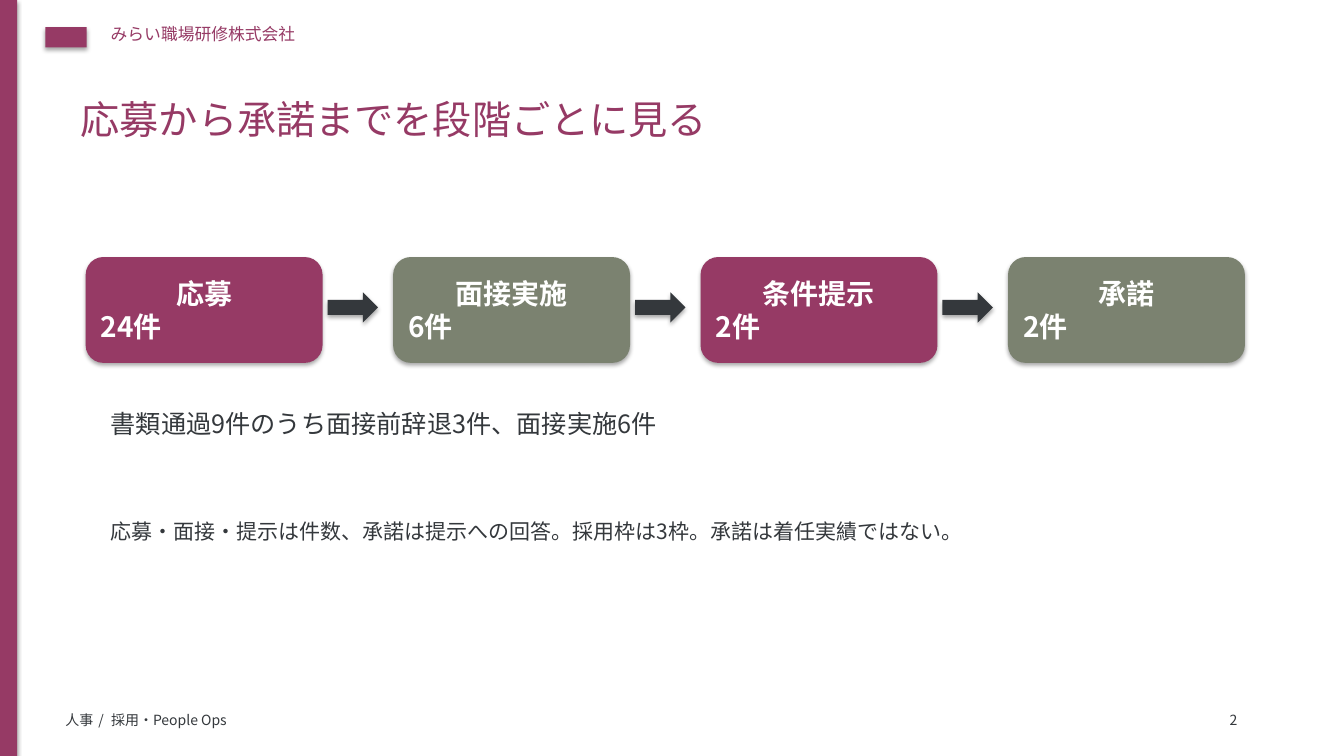
from lxml.etree import SubElement
from pptx import Presentation
from pptx.dml.color import RGBColor
from pptx.enum.shapes import MSO_SHAPE
from pptx.enum.text import MSO_ANCHOR, MSO_AUTO_SIZE, PP_ALIGN
from pptx.oxml.ns import qn
from pptx.util import Inches, Pt

FONT = "Noto Sans CJK JP"
HUES = {"plum": "963A65", "sage": "7B8270", "ink": "34383C", "white": "FFFFFF"}
STEPS = [("応募", "24件"), ("面接実施", "6件"), ("条件提示", "2件"), ("承諾", "2件")]
STEP_X, STEP_Y, STEP_W, STEP_H = 8.5, 25.5, 23.5, 10.5
PITCH = 30.5


def grid(*cells):
    """Turn counts of tenth-inch grid cells into lengths."""
    return [Inches(cell / 10) for cell in cells]


def shade(name):
    """Look up a named colour."""
    return RGBColor.from_string(HUES[name])


def write(para, text, size=10, hue="ink", bold=None, gap=None):
    """Add a formatted run to a paragraph."""
    run = para.add_run()
    run.text = text
    font = run.font
    font.size, font.bold, font.name = Pt(size), bold, FONT
    font.color.rgb = shade(hue)
    props = run._r.get_or_add_rPr()
    SubElement(props, qn("a:ea"), typeface=FONT)
    if gap:
        props.set("spc", str(gap))


def label(slide, cells, text, **style):
    """Place a text box and return its paragraph."""
    frame = slide.shapes.add_textbox(*grid(*cells)).text_frame
    frame.word_wrap = True
    frame.auto_size = MSO_AUTO_SIZE.SHAPE_TO_FIT_TEXT
    para = frame.paragraphs[0]
    write(para, text, **style)
    return para


def block(slide, kind, cells, hue):
    """Place a filled shape that keeps the theme shadow."""
    shape = slide.shapes.add_shape(kind, *grid(*cells))
    shape.fill.solid()
    shape.fill.fore_color.rgb = shade(hue)
    shape.line.fill.background()
    return shape


def step(slide, left, name, count, hue):
    """Place one stage with its name and count."""
    cells = (left, STEP_Y, STEP_W, STEP_H)
    frame = block(slide, MSO_SHAPE.ROUNDED_RECTANGLE, cells, hue).text_frame
    frame.vertical_anchor = MSO_ANCHOR.MIDDLE
    head, tail = frame.paragraphs[0], frame.add_paragraph()
    head.alignment, tail.alignment = PP_ALIGN.CENTER, PP_ALIGN.LEFT
    for para, text in ((head, name), (tail, count)):
        write(para, text, size=20, hue="white", bold=True)


def flow(slide):
    """Lay out the stages with arrows between them."""
    for index, (name, count) in enumerate(STEPS):
        left = STEP_X + index * PITCH
        if index:
            cells = (left - 6.5, 29, 5, 3)
            block(slide, MSO_SHAPE.RIGHT_ARROW, cells, "ink")
        step(slide, left, name, count, ("plum", "sage")[index % 2])


def head(slide, text):
    """Move and fill the title placeholder."""
    title = slide.shapes.title
    title.left, title.top, title.width, title.height = grid(7, 9, 118, 8.5)
    frame = title.text_frame
    frame.vertical_anchor = MSO_ANCHOR.TOP
    frame.auto_size = MSO_AUTO_SIZE.NONE
    para = frame.paragraphs[0]
    para.alignment = PP_ALIGN.LEFT
    write(para, text, size=28, hue="plum")


def frame(slide):
    """Place the side band, company name and footer."""
    block(slide, MSO_SHAPE.RECTANGLE, (0, 0, 1.7, 75), "plum")
    block(slide, MSO_SHAPE.RECTANGLE, (4.5, 2.7, 4.1, 2), "plum")
    label(slide, (10, 1.9, 80, 4), "みらい職場研修株式会社", size=12, hue="plum")
    foot = label(slide, (5.5, 70.1, 100, 3), "人事")
    write(foot, " / ", gap=150)
    write(foot, "採用・People Ops")
    label(slide, (121, 70.1, 5, 3), "2")


def main():
    """Build and save the slide."""
    deck = Presentation()
    deck.slide_width, deck.slide_height = grid(133.33, 75)
    slide = deck.slides.add_slide(deck.slide_layouts[5])
    frame(slide)
    head(slide, "応募から承諾までを段階ごとに見る")
    flow(slide)
    label(slide, (10, 40, 110, 6),
          "書類通過9件のうち面接前辞退3件、面接実施6件", size=18)
    label(slide, (10, 51, 115, 9),
          "応募・面接・提示は件数、承諾は提示への回答。採用枠は3枠。承諾は着任実績ではない。",
          size=15)
    deck.save("out.pptx")


if __name__ == "__main__":
    main()
